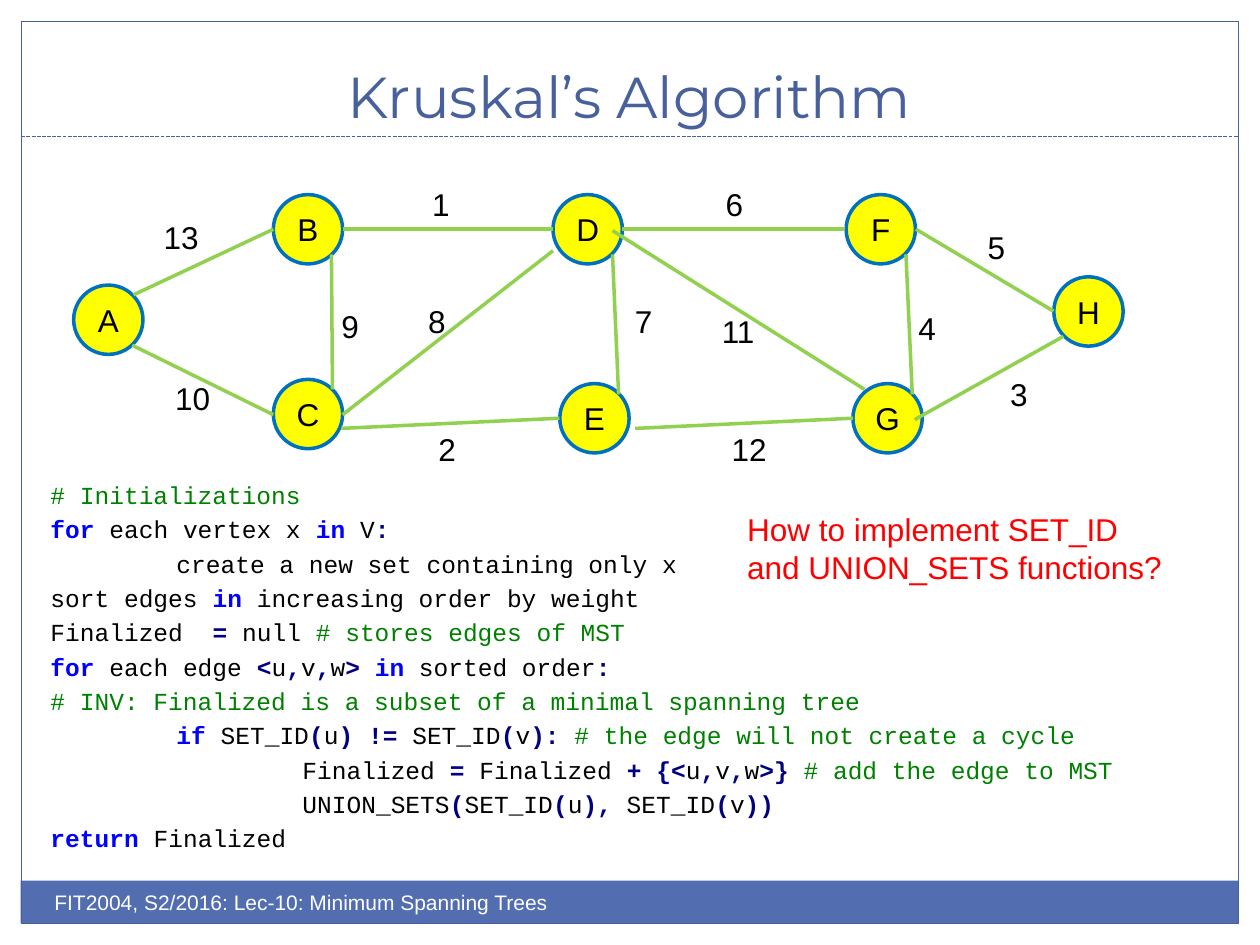
from itertools import groupby

from lxml.etree import SubElement
from pptx import Presentation
from pptx.dml.color import RGBColor
from pptx.enum.dml import MSO_LINE
from pptx.enum.shapes import MSO_CONNECTOR as Connector, MSO_SHAPE as Shape
from pptx.enum.text import MSO_ANCHOR as Anchor, PP_ALIGN as Align
from pptx.oxml.ns import qn
from pptx.util import Pt

TITLE = "Kruskal’s Algorithm"
FOOTER = "FIT2004, S2/2016: Lec-10: Minimum Spanning Trees"
QUESTION = "How to implement SET_ID and UNION_SETS functions?"
VERTICES = {
    "A": (61.9, 182.7), "B": (176, 131), "C": (176, 236.6), "D": (335.8, 131),
    "E": (339.7, 239), "F": (503.3, 131), "G": (507.2, 239), "H": (622, 178),
}
EDGES = [
    ("13", (76.3, 168.5), (156.2, 131), (86.4, 121)),
    ("10", (75.6, 197.3), (156.2, 237), (93, 213)),
    ("1", (195.8, 131), (316, 131), (239.8, 102.2)),
    ("9", (190, 222.5), (189.4, 145.4), (188, 172)),
    ("8", (195.8, 237), (316, 143.3), (237.6, 169.2)),
    ("2", (195, 244.8), (319.7, 239), (243.4, 242)),
    ("7", (353.5, 225.4), (350, 145.4), (355.7, 169.2)),
    ("6", (355.7, 131), (483, 131), (407.5, 102.2)),
    ("11", (350, 131.8), (494, 222.5), (405.4, 175)),
    ("12", (363, 244.8), (487.4, 239), (411, 242)),
    ("4", (521.3, 225.4), (517.7, 145.4), (517.7, 172.8)),
    ("5", (523.4, 131), (602, 177.8), (557.3, 126.7)),
    ("3", (522.7, 239.8), (607.7, 192.2), (570.2, 211)),
]
CODE = [
    "# Initializations",
    "for each vertex x in V:",
    "\tcreate a new set containing only x",
    "sort edges in increasing order by weight",
    "Finalized  = null # stores edges of MST",
    "for each edge <u,v,w> in sorted order:",
    "# INV: Finalized is a subset of a minimal spanning tree",
    "\tif SET_ID(u) != SET_ID(v): # the edge will not create a cycle",
    "\t\tFinalized = Finalized + {<u,v,w>} # add the edge to MST",
    "\t\tUNION_SETS(SET_ID(u), SET_ID(v))",
    "return Finalized",
]
MARGINS = [(0, 0, 720, 109.4), (0, 0, 12.2, 540), (707.8, 0, 12.2, 540)]
KEYWORDS = {"for", "in", "if", "return"}
TAB_STOPS = (72, 144)
DIAMETER = 39.6
BLUE, BAR, GREEN, WHITE = "48609B", "526DB0", "92D050", "FFFFFF"


def color(value):
    """Return the colour for a hex string."""
    return RGBColor.from_string(value)


def style(paragraph, size, hue, name="Arial"):
    """Set the font of a whole paragraph."""
    paragraph.font.size, paragraph.font.name = Pt(size), name
    paragraph.font.color.rgb = color(hue)


def add_text(slide, text, box, size, hue, name="Arial", wrap=True):
    """Add a text box with one paragraph and return its frame."""
    frame = slide.shapes.add_textbox(*map(Pt, box)).text_frame
    frame.word_wrap = wrap
    frame.text = text
    style(frame.paragraphs[0], size, hue, name)
    return frame


def add_block(slide, kind, box, fill=None, line=None, width=0.75):
    """Add a flat preset shape."""
    shape = slide.shapes.add_shape(kind, *map(Pt, box))
    shape.shadow.inherit = False
    if fill:
        shape.fill.solid()
        shape.fill.fore_color.rgb = color(fill)
    else:
        shape.fill.background()
    if line:
        shape.line.color.rgb = color(line)
        shape.line.width = Pt(width)
    else:
        shape.line.fill.background()
    return shape


def add_line(slide, start, end, hue, width):
    """Add a straight line without a shadow."""
    line = slide.shapes.add_connector(Connector.STRAIGHT, *map(Pt, start + end))
    line.line.color.rgb = color(hue)
    line.line.width = Pt(width)
    SubElement(line._element.spPr, qn("a:effectLst"))
    return line


def token_kind(character):
    """Classify a code character as space, word or symbol."""
    if character.isspace():
        return "space"
    return "word" if character.isalnum() or character == "_" else "symbol"


def highlight(line):
    """Yield text, colour and boldness for each part of a code line."""
    code, mark, comment = line.partition("#")
    for kind, characters in groupby(code, token_kind):
        text = "".join(characters)
        if text in KEYWORDS:
            yield text, "0000FF", True
        elif kind == "symbol":
            yield text, "000080", True
        else:
            yield text, "000000", False
    if mark:
        yield mark + comment, "008000", False


def add_graph(slide):
    """Draw the vertices, the edges and their weights."""
    for name, (x, y) in VERTICES.items():
        box = (x - DIAMETER / 2, y - DIAMETER / 2, DIAMETER, DIAMETER)
        frame = add_block(slide, Shape.OVAL, box, "FFFF00", "0070C0", 2).text_frame
        frame.word_wrap = False
        frame.vertical_anchor = Anchor.MIDDLE
        frame.text = name
        frame.paragraphs[0].alignment = Align.CENTER
        style(frame.paragraphs[0], 18, "000000")
    for weight, start, end, corner in EDGES:
        add_line(slide, start, end, GREEN, 2)
        box = (*corner, 14.4 + 10 * len(weight), 29)
        add_text(slide, weight, box, 18, "000000", wrap=False)


def add_tab_stops(paragraph):
    """Set the left tab stops of a paragraph."""
    tabs = SubElement(paragraph._p.get_or_add_pPr(), qn("a:tabLst"))
    for stop in TAB_STOPS:
        SubElement(tabs, qn("a:tab"), pos=str(Pt(stop)), algn="l")


def add_code(slide):
    """Write the pseudocode with syntax colours."""
    frame = slide.shapes.add_textbox(Pt(21.8), Pt(270.7), Pt(662), Pt(224)).text_frame
    frame.word_wrap = True
    for index, line in enumerate(CODE):
        paragraph = frame.add_paragraph() if index else frame.paragraphs[0]
        add_tab_stops(paragraph)
        paragraph.space_before = Pt(2.8 if index else 0)
        paragraph.font.size, paragraph.font.name = Pt(14), "Courier New"
        for text, hue, bold in highlight(line):
            run = paragraph.add_run()
            run.text = text
            run.font.bold = bold
            run.font.color.rgb = color(hue)


def main():
    """Build the slide and save it."""
    presentation = Presentation()
    presentation.slide_width, presentation.slide_height = Pt(720), Pt(540)
    slide = presentation.slides.add_slide(presentation.slide_layouts[6])
    for box in MARGINS:
        add_block(slide, Shape.RECTANGLE, box, WHITE)
    add_block(slide, Shape.RECTANGLE, (11.8, 503.2, 695.8, 24.5), BAR)
    add_block(slide, Shape.RECTANGLE, (12.2, 12.2, 695.5, 515.5), line=BLUE)
    add_line(slide, (12.2, 78), (707.7, 78), BLUE, 0.75).line.dash_style = MSO_LINE.SQUARE_DOT
    title = add_text(slide, TITLE, (23.8, 18, 671.8, 60), 33, BLUE, "Montserrat")
    title.vertical_anchor = Anchor.BOTTOM
    title.paragraphs[0].alignment = Align.CENTER
    add_text(slide, FOOTER, (24, 504.7, 360, 29), 12, WHITE)
    add_graph(slide)
    add_code(slide)
    add_text(slide, QUESTION, (419.8, 288, 259, 51), 18, "FF0000")
    presentation.save("out.pptx")


if __name__ == "__main__":
    main()
